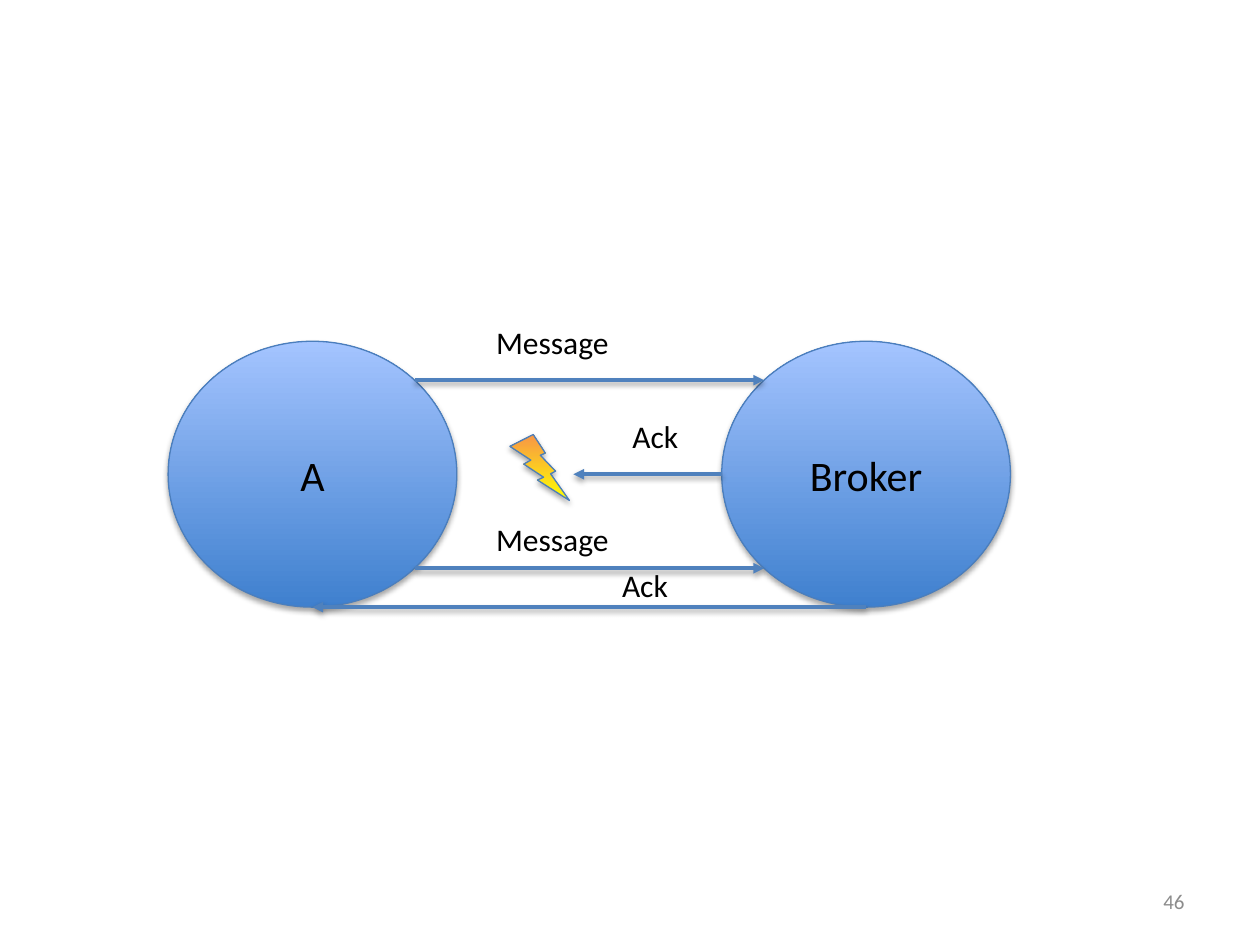
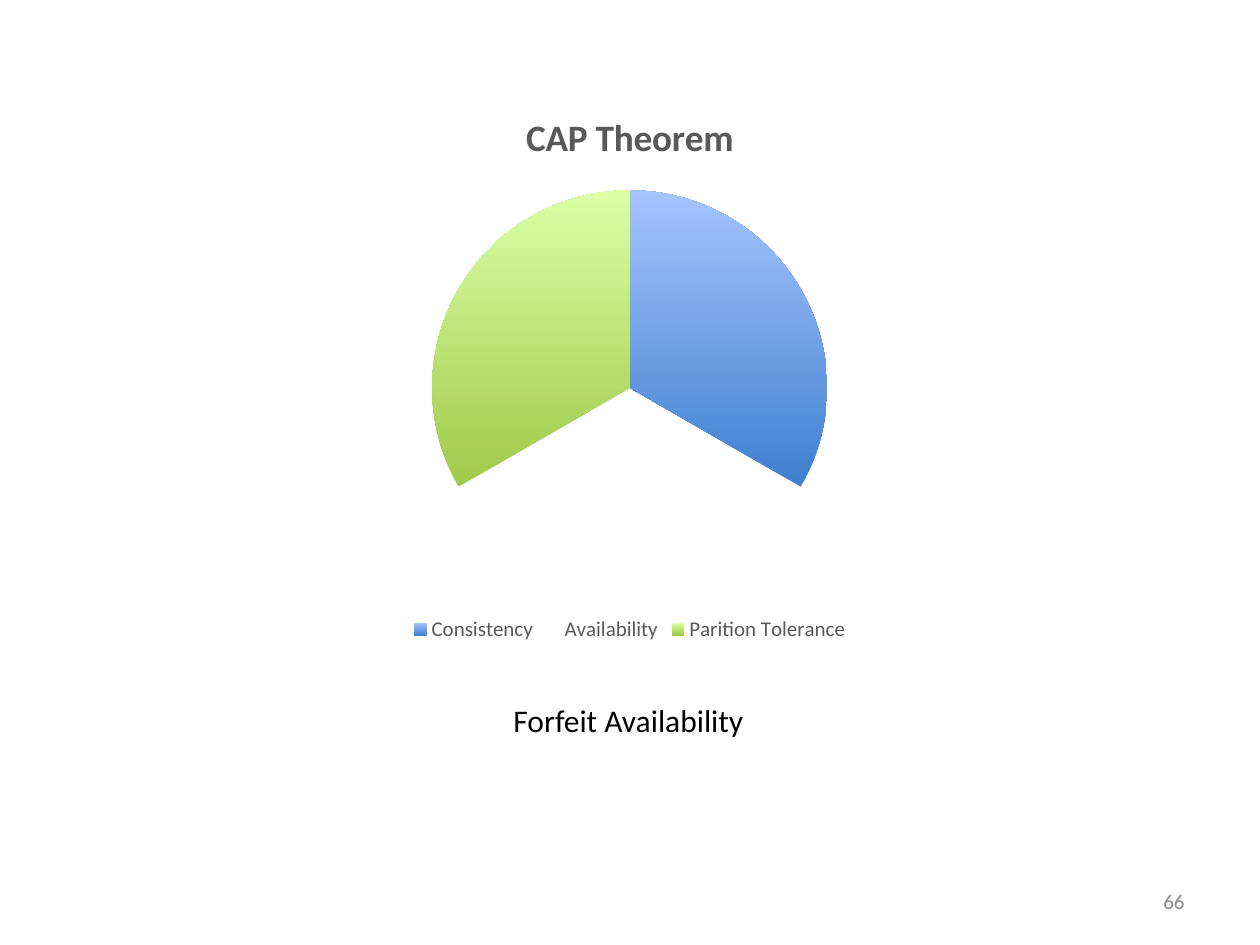
"""Build two slides: a message and acknowledgement exchange, and a CAP theorem pie."""
from dataclasses import dataclass
from math import sqrt

from pptx import Presentation
from pptx.chart.data import CategoryChartData
from pptx.dml.color import RGBColor
from pptx.enum.chart import XL_CHART_TYPE, XL_LEGEND_POSITION
from pptx.enum.shapes import MSO_CONNECTOR, MSO_SHAPE
from pptx.enum.text import MSO_ANCHOR, PP_ALIGN
from pptx.oxml import parse_xml
from pptx.oxml.ns import nsdecls
from pptx.util import Cm, Pt

PIE = XL_CHART_TYPE.PIE
LEGEND_BOTTOM = XL_LEGEND_POSITION.BOTTOM
STRAIGHT = MSO_CONNECTOR.STRAIGHT
OVAL, BOLT = MSO_SHAPE.OVAL, MSO_SHAPE.LIGHTNING_BOLT
TOP, MIDDLE = MSO_ANCHOR.TOP, MSO_ANCHOR.MIDDLE
LEFT, CENTER, RIGHT = PP_ALIGN.LEFT, PP_ALIGN.CENTER, PP_ALIGN.RIGHT


@dataclass(frozen=True)
class Theme:
    font: str = "Calibri"
    text: str = "000000"
    chart_text: str = "595959"
    page_number: str = "8C8C8C"
    outline: str = "4B7EBC"
    arrow: str = "4F81BD"
    blue: tuple = ("3F80CE", "A4C4FF")
    green: tuple = ("A0CA4A", "DAFFA5")
    fire: tuple = ("FFFF00", "F79646")
    node_size: float = 24
    label_size: float = 18
    chart_title_size: float = 21.3
    legend_size: float = 12
    page_number_size: float = 12
    chart_size: float = 10
    outline_width: float = 0.75
    arrow_width: float = 2


theme = Theme()


def write(shape, text, size, color, align=LEFT, anchor=TOP):
    frame = shape.text_frame
    frame.word_wrap = True
    frame.vertical_anchor = anchor
    paragraph = frame.paragraphs[0]
    paragraph.alignment = align
    run = paragraph.add_run()
    run.text = text
    run.font.name = theme.font
    run.font.size = Pt(size)
    run.font.color.rgb = RGBColor.from_string(color)


def paint_gradient(fill, colors):
    fill.gradient()
    fill.gradient_angle = 90
    for stop, color in zip(fill.gradient_stops, colors):
        stop.color.rgb = RGBColor.from_string(color)


presentation = Presentation()
presentation.slide_width, presentation.slide_height = Cm(25.4), Cm(19.05)
blank_layout = presentation.slide_layouts[6]

slides = []
for page_number in ("46", "66"):
    slide = presentation.slides.add_slide(blank_layout)
    number_box = slide.shapes.add_textbox(Cm(18.2), Cm(17.66), Cm(5.93), Cm(1.01))
    write(number_box, page_number, theme.page_number_size, theme.page_number, RIGHT, MIDDLE)
    slides.append(slide)
exchange_slide, cap_slide = slides

node_width, node_height, node_top = 5.82, 5.36, 6.88
sender_left, broker_left = 3.39, 14.55
sender_center = sender_left + node_width / 2
broker_center = broker_left + node_width / 2
middle = node_top + node_height / 2
bottom = node_top + node_height
diagonal_x = node_width / 2 / sqrt(2)
diagonal_y = node_height / 2 / sqrt(2)

shadowed = []
for kind, left, top, width, height, colors, name in (
    (OVAL, sender_left, node_top, node_width, node_height, theme.blue, "A"),
    (OVAL, broker_left, node_top, node_width, node_height, theme.blue, "Broker"),
    (BOLT, 10.28, 8.76, 1.2, 1.33, theme.fire, None),
):
    shape = exchange_slide.shapes.add_shape(kind, Cm(left), Cm(top), Cm(width), Cm(height))
    paint_gradient(shape.fill, colors)
    shape.line.color.rgb = RGBColor.from_string(theme.outline)
    shape.line.width = Pt(theme.outline_width)
    if name:
        write(shape, name, theme.node_size, theme.text, CENTER, MIDDLE)
    shadowed.append(shape)

message_start, message_end = sender_center + diagonal_x, broker_center - diagonal_x
for start, end, height in (
    (message_start, message_end, middle - diagonal_y),
    (broker_left, 11.56, middle),
    (message_start, message_end, middle + diagonal_y),
    (broker_center, sender_center, bottom),
):
    arrow = exchange_slide.shapes.add_connector(
        STRAIGHT, Cm(start), Cm(height), Cm(end), Cm(height))
    arrow.line.color.rgb = RGBColor.from_string(theme.arrow)
    arrow.line.width = Pt(theme.arrow_width)
    arrow.line._get_or_add_ln().append(
        parse_xml(f'<a:tailEnd {nsdecls("a")} type="triangle"/>'))
    shadowed.append(arrow)

for shape in shadowed:
    shape._element.spPr.append(parse_xml(
        f'<a:effectLst {nsdecls("a")}><a:outerShdw blurRad="40000" dist="22000" '
        'dir="5400000" rotWithShape="0"><a:srgbClr val="000000">'
        '<a:alpha val="35000"/></a:srgbClr></a:outerShdw></a:effectLst>'))

for label, left, top, width in (
    ("Message", 9.75, 6.38, 4.24),
    ("Message", 9.75, 10.36, 4.24),
    ("Ack", 12.5, 8.28, 1.5),
    ("Ack", 12.29, 11.28, 1.5),
):
    label_box = exchange_slide.shapes.add_textbox(Cm(left), Cm(top), Cm(width), Cm(1.02))
    write(label_box, label, theme.label_size, theme.text)

cap_data = CategoryChartData()
cap_data.categories = ["Consistency", "Availability", "Parition Tolerance"]
cap_data.add_series("CAP Theorem", (33, 33, 33))
chart = cap_slide.shapes.add_chart(
    PIE, Cm(4.23), Cm(1.75), Cm(16.93), Cm(11.29), cap_data).chart
chart.font.name = theme.font
chart.font.size = Pt(theme.chart_size)
chart.font.color.rgb = RGBColor.from_string(theme.text)

chart.has_title = True
title_run = chart.chart_title.text_frame.paragraphs[0].add_run()
title_run.text = "CAP Theorem"
title_run.font.bold = True
chart.has_legend = True
chart.legend.position = LEGEND_BOTTOM
chart.legend.include_in_layout = False
for font, size in (
    (title_run.font, theme.chart_title_size),
    (chart.legend.font, theme.legend_size),
):
    font.name = theme.font
    font.size = Pt(size)
    font.color.rgb = RGBColor.from_string(theme.chart_text)

pie = chart.plots[0]
pie.vary_by_categories = True
for index, colors in enumerate((theme.blue, None, theme.green)):
    slice_format = pie.series[0].points[index].format
    slice_format.line.fill.background()
    if colors:
        paint_gradient(slice_format.fill, colors)
    else:
        slice_format.fill.background()

caption = cap_slide.shapes.add_textbox(Cm(4.62), Cm(14), Cm(16.1), Cm(1.02))
write(caption, "Forfeit Availability", theme.label_size, theme.text, CENTER)

presentation.save("out.pptx")
